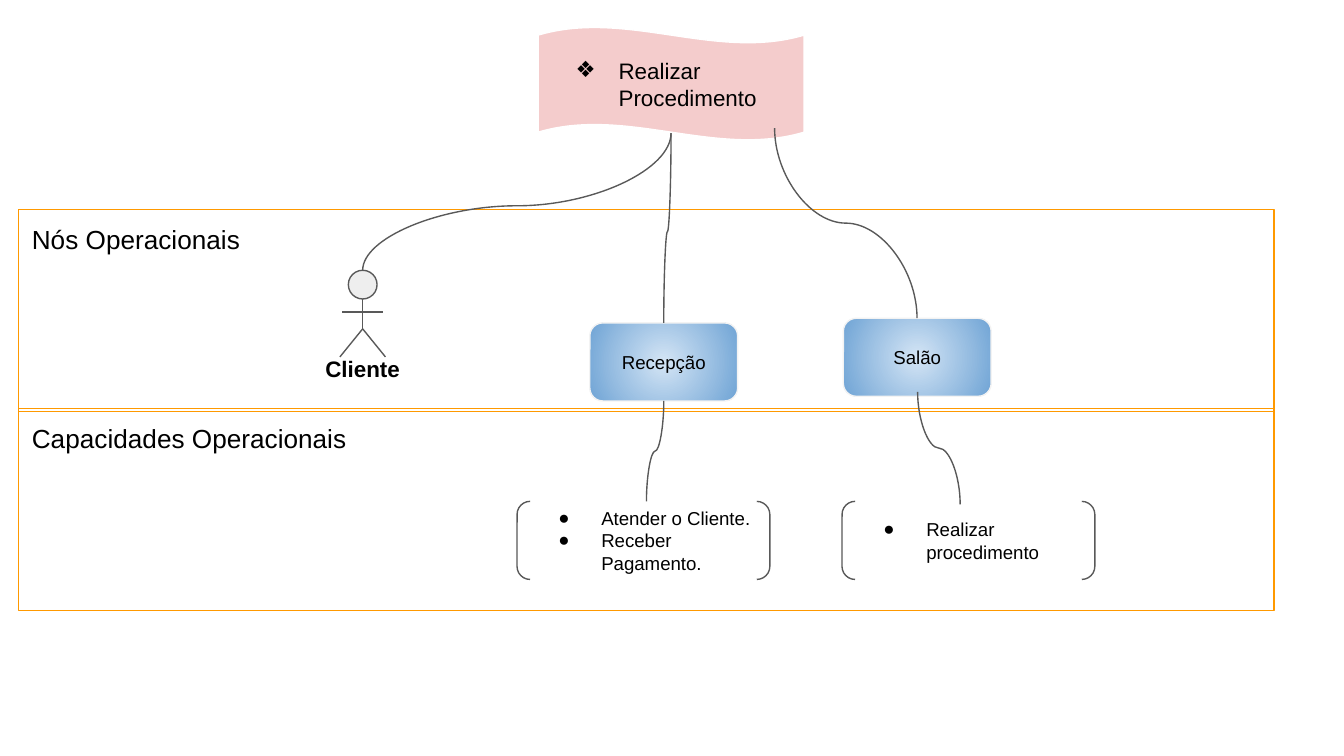
from lxml.etree import SubElement
from pptx import Presentation
from pptx.dml.color import RGBColor
from pptx.enum.shapes import MSO_CONNECTOR, MSO_SHAPE
from pptx.enum.text import MSO_ANCHOR, PP_ALIGN
from pptx.oxml.ns import qn
from pptx.util import Pt


def color(value):
    return RGBColor.from_string(value)


class Diagram:
    font = "Arial"
    ink = "000000"
    stroke = "595959"
    inset = 7.2

    def __init__(self, page):
        self.page = page
        self.shapes = page.shapes

    def label(self, shape, lines, size, bold=False, align=PP_ALIGN.LEFT,
              anchor=MSO_ANCHOR.MIDDLE, bullet=None):
        frame = shape.text_frame
        frame.word_wrap = True
        frame.vertical_anchor = anchor
        frame.margin_left = frame.margin_right = Pt(self.inset)
        frame.margin_top = frame.margin_bottom = Pt(self.inset)
        for index, line in enumerate(lines):
            para = frame.add_paragraph() if index else frame.paragraphs[0]
            para.alignment = align
            if bullet:
                self.bullet(para, bullet)
            span = para.add_run()
            span.text = line
            span.font.name = self.font
            span.font.size = Pt(size)
            span.font.bold = bold
            span.font.color.rgb = color(self.ink)

    def bullet(self, para, mark):
        properties = para._p.get_or_add_pPr()
        properties.set("marL", str(Pt(36)))
        properties.set("indent", str(-Pt(23)))
        tint = SubElement(properties, qn("a:buClr"))
        SubElement(tint, qn("a:srgbClr"), val=self.ink)
        SubElement(properties, qn("a:buFont"), typeface=self.font)
        SubElement(properties, qn("a:buChar"), char=mark)

    def shape(self, kind, left, top, width, height, line=stroke, fill=None):
        shape = self.shapes.add_shape(kind, Pt(left), Pt(top), Pt(width), Pt(height))
        shape.shadow.inherit = False
        shape.line.color.rgb = color(line)
        shape.line.width = Pt(0.75)
        if fill:
            shape.fill.solid()
            shape.fill.fore_color.rgb = color(fill)
        else:
            shape.fill.background()
        return shape

    def lane(self, top, name):
        box = self.shape(MSO_SHAPE.RECTANGLE, 10, top, 672.5, 108, "FF9900")
        self.label(box, [name], 14, anchor=MSO_ANCHOR.TOP)

    def goal(self, left, top, width, height, name):
        box = self.shape(MSO_SHAPE.WAVE, left, top, width, height, "FFFFFF", "F4CCCC")
        box.adjustments[0] = 0.07
        self.label(box, [name], 12, bullet="❖")

    def node(self, left, top, name):
        box = self.shape(MSO_SHAPE.ROUNDED_RECTANGLE, left, top, 79.2, 41.8, "F3F3F3")
        box.fill.gradient()
        for stop, position, tint in zip(box.fill.gradient_stops, (0, 1), ("D4E5F5", "70A4D5")):
            stop.position = position
            stop.color.rgb = color(tint)
        gradient = box._element.spPr.find(qn("a:gradFill"))
        gradient.remove(gradient.find(qn("a:lin")))
        circle = SubElement(gradient, qn("a:path"), {"path": "circle"})
        SubElement(circle, qn("a:fillToRect"), l="50000", t="50000", r="50000", b="50000")
        self.label(box, [name], 10, align=PP_ALIGN.CENTER)

    def capabilities(self, left, lines):
        box = self.shape(MSO_SHAPE.DOUBLE_BRACKET, left, 268.6, 135.4, 41.8)
        self.label(box, lines, 10, bullet="●")

    def connector(self, kind, start, end):
        link = self.shapes.add_connector(kind, *(Pt(value) for value in (*start, *end)))
        link.line.color.rgb = color(self.stroke)
        link.line.width = Pt(0.75)
        SubElement(link._element.spPr, qn("a:effectLst"))
        return link

    def curve_down(self, start, end, bend=0.5):
        (x1, y1), (x2, y2) = start, end
        middle_x, middle_y = (x1 + x2) / 2, (y1 + y2) / 2
        half_width, half_height = (y2 - y1) / 2, abs(x2 - x1) / 2
        side = 1 if x2 > x1 else -1
        link = self.connector(
            MSO_CONNECTOR.CURVE,
            (middle_x + side * half_width, middle_y - half_height),
            (middle_x - side * half_width, middle_y + half_height))
        properties = link._element.spPr
        properties.xfrm.set("rot", str((270 if side > 0 else 90) * 60000))
        guides = properties.find(qn("a:prstGeom")).find(qn("a:avLst"))
        SubElement(guides, qn("a:gd"), name="adj1", fmla=f"val {round(bend * 100000)}")

    def actor(self, center, top, name):
        self.shapes = self.page.shapes.add_group_shape().shapes
        self.shape(MSO_SHAPE.FLOWCHART_CONNECTOR, center - 7.7, top, 15.4, 15.4, fill="EEEEEE")
        neck, arms, hip, feet = (top + drop for drop in (15.5, 22.4, 31.4, 46.4))
        for start, end in (
                ((center, neck), (center, hip)),
                ((center - 11, arms), (center + 11, arms)),
                ((center, hip), (center - 12.2, feet)),
                ((center, hip), (center + 12.2, feet))):
            self.connector(MSO_CONNECTOR.STRAIGHT, start, end)
        box = self.shapes.add_textbox(Pt(center - 40.3), Pt(top + 38.1), Pt(80.6), Pt(27.4))
        self.label(box, [name], 12, True, PP_ALIGN.CENTER, MSO_ANCHOR.TOP)
        self.shapes = self.page.shapes


deck = Presentation()
deck.slide_width, deck.slide_height = Pt(720), Pt(405)
page = deck.slides.add_slide(deck.slide_layouts[6])
diagram = Diagram(page)

diagram.lane(112.4, "Nós Operacionais")
diagram.lane(219, "Capacidades Operacionais")
diagram.goal(288.3, 14.6, 142.5, 60.5, "Realizar Procedimento")
diagram.actor(194.3, 144.8, "Cliente")
diagram.node(316, 173, "Recepção")
diagram.node(451.8, 170.5, "Salão")
diagram.capabilities(277, ["Atender o Cliente.", "Receber Pagamento."])
diagram.capabilities(451.1, ["Realizar procedimento"])

for start, end, bend in (
        ((359.5, 71.3), (194.3, 144.8), 0.53),
        ((359.5, 71.3), (355.6, 173), 0.52),
        ((415, 68.6), (491.3, 170.5), 0.5),
        ((355.6, 214.8), (346.3, 268.6), 0.5),
        ((491.6, 210), (514.4, 270.2), 0.5)):
    diagram.curve_down(start, end, bend)

deck.save("out.pptx")
